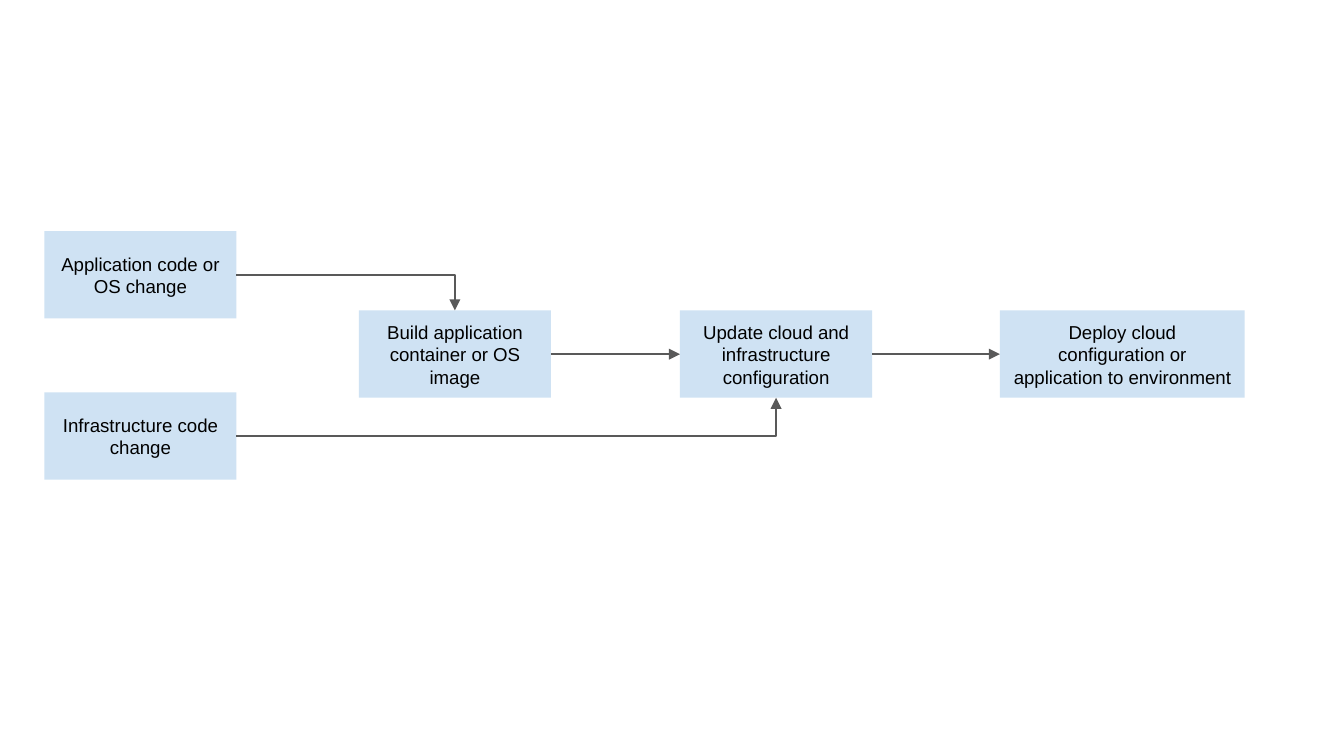
from pptx import Presentation
from pptx.dml.color import RGBColor
from pptx.enum.shapes import MSO_CONNECTOR, MSO_SHAPE
from pptx.enum.text import MSO_ANCHOR, PP_ALIGN
from pptx.oxml.ns import qn
from pptx.oxml.xmlchemy import OxmlElement
from pptx.util import Inches, Pt

RECTANGLE = MSO_SHAPE.RECTANGLE
ELBOW = MSO_CONNECTOR.ELBOW
MIDDLE = MSO_ANCHOR.MIDDLE
CENTER = PP_ALIGN.CENTER

PALE_BLUE = RGBColor(0xCF, 0xE2, 0xF3)
GREY = RGBColor(0x59, 0x59, 0x59)
BLACK = RGBColor(0, 0, 0)

# Connection sites of a rectangle
TOP, LEFT, BOTTOM, RIGHT = range(4)

STEP_WIDTH, STEP_HEIGHT = 1.43, 0.65


def add_step(page, left, top, text, width=STEP_WIDTH):
    """Draw one step of the pipeline as a filled box with centred text."""
    step = page.shapes.add_shape(
        RECTANGLE, Inches(left), Inches(top), Inches(width), Inches(STEP_HEIGHT))
    step.shadow.inherit = False
    step.fill.solid()
    step.fill.fore_color.rgb = PALE_BLUE
    step.line.fill.background()

    frame = step.text_frame
    frame.word_wrap = True
    frame.vertical_anchor = MIDDLE
    frame.margin_left = frame.margin_right = Inches(0.1)
    frame.margin_top = frame.margin_bottom = Inches(0.1)
    frame.text = text
    para = frame.paragraphs[0]
    para.alignment = CENTER
    font = para.runs[0].font
    font.name = "Arial"
    font.size = Pt(10)
    font.color.rgb = BLACK
    return step


def add_arrow(page, source, target, target_site):
    """Lead an arrow from the right side of source to a site of target."""
    arrow = page.shapes.add_connector(ELBOW, 0, 0, 0, 0)
    arrow.begin_connect(source, RIGHT)
    arrow.end_connect(target, target_site)
    arrow.line.color.rgb = GREY
    arrow.line.width = Pt(0.75)

    properties = arrow._element.spPr
    if target_site != LEFT:  # a single corner
        properties.find(qn("a:prstGeom")).set("prst", "bentConnector2")
    tip = OxmlElement("a:tailEnd")
    tip.set("type", "triangle")
    properties.find(qn("a:ln")).append(tip)
    properties.append(OxmlElement("a:effectLst"))


def draw_pipeline(page, left, top):
    """Place the two triggers, the three stages and the arrows between them."""
    # Triggers
    app_change = add_step(page, left, top, "Application code or OS change")
    infra_change = add_step(page, left, top + 1.2, "Infrastructure code change")

    # Stages on one row
    stage_top = top + 0.59
    build = add_step(page, left + 2.34, stage_top,
                     "Build application container or OS image")
    update = add_step(page, left + 4.73, stage_top,
                      "Update cloud and infrastructure configuration")
    deploy = add_step(page, left + 7.11, stage_top,
                      "Deploy cloud configuration or application to environment",
                      width=1.82)

    # Flow
    for source, target, site in (
        (app_change, build, TOP),
        (infra_change, update, BOTTOM),
        (build, update, LEFT),
        (update, deploy, LEFT),
    ):
        add_arrow(page, source, target, site)


deck = Presentation()
deck.slide_width = Inches(10)
deck.slide_height = deck.slide_width * 9 // 16
page = deck.slides.add_slide(deck.slide_layouts[6])
draw_pipeline(page, 0.33, 1.72)
deck.save("out.pptx")
